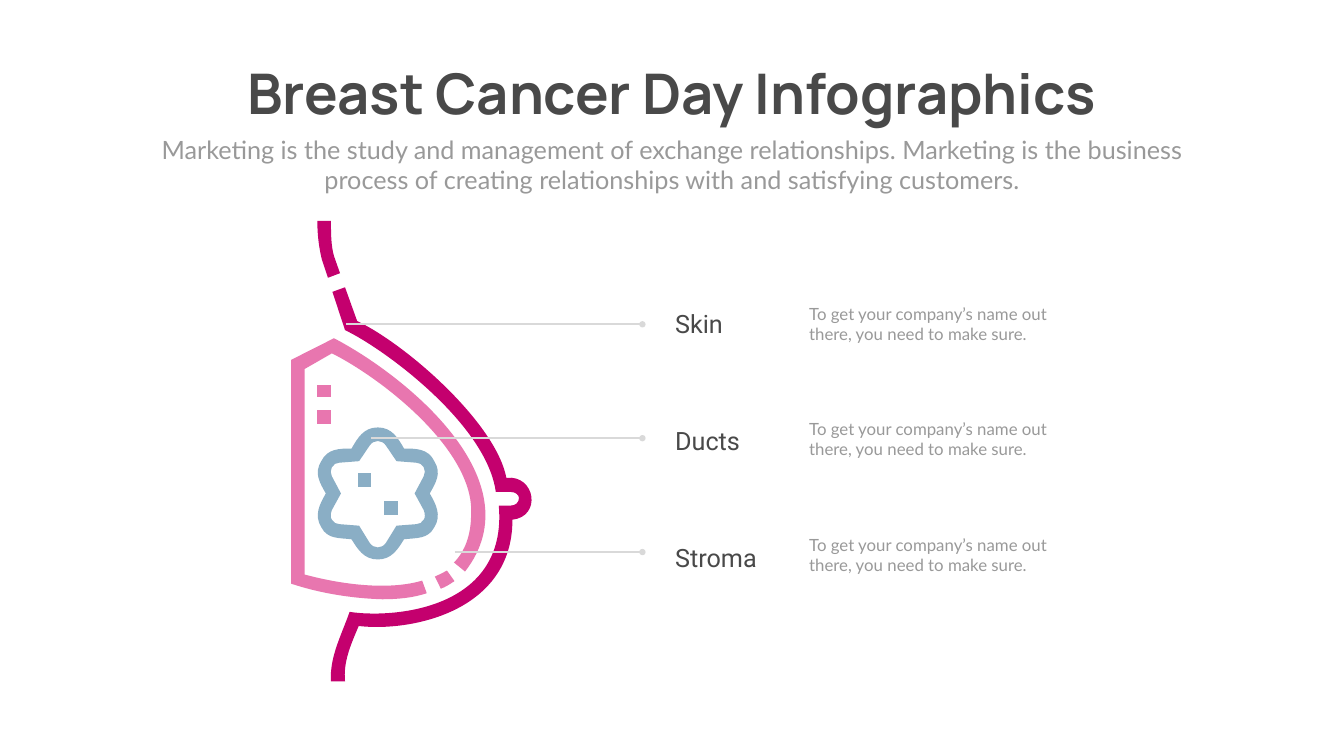
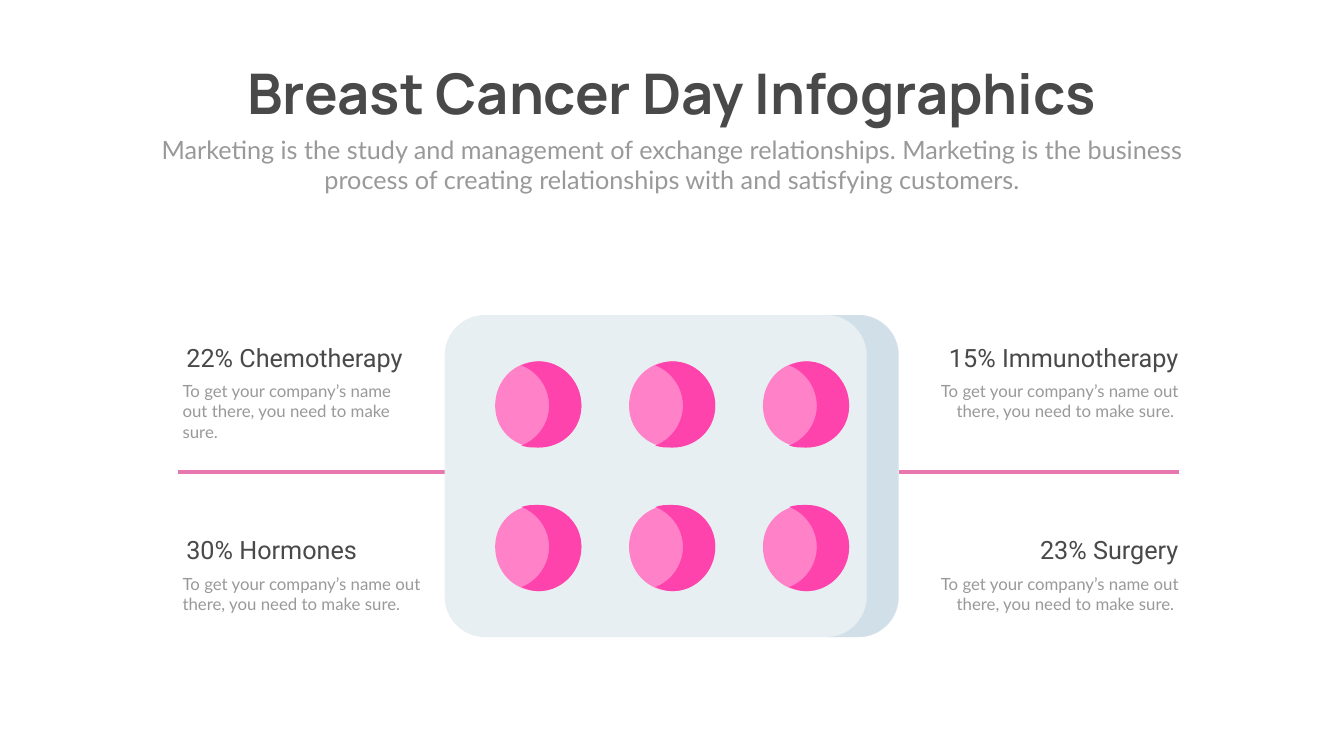
from itertools import chain

from lxml.etree import SubElement
from pptx import Presentation
from pptx.dml.color import RGBColor
from pptx.enum.shapes import MSO_CONNECTOR
from pptx.enum.text import MSO_AUTO_SIZE, PP_ALIGN
from pptx.oxml.ns import qn
from pptx.util import Pt

INK = RGBColor(0x49, 0x49, 0x49)
GREY = RGBColor(0x99, 0x99, 0x99)
RULE = RGBColor(0xD9, 0xD9, 0xD9)
MAGENTA = RGBColor(0xC4, 0x00, 0x6E)
ROSE = RGBColor(0xE8, 0x76, 0xAF)
STEEL = RGBColor(0x8A, 0xAE, 0xC5)
CARD = RGBColor(0xE8, 0xEF, 0xF3)
CARD_SIDE = RGBColor(0xD0, 0xDF, 0xE8)
PILL_LIGHT = RGBColor(0xFF, 0x81, 0xC8)
PILL_DARK = RGBColor(0xFF, 0x43, 0xAC)

TITLE = "Breast Cancer Day Infographics"
SUBTITLE = (
    "Marketing is the study and management of exchange relationships. "
    "Marketing is the business process of creating relationships with "
    "and satisfying customers."
)
DETAIL = "To get your company’s name out there, you need to make sure."

SKIN = [
    (56.9, 658.1), (77, 658.1),
    (74.2, 629.3, 85.7, 604.8, 96.5, 578.9),
    (170.6, 587.5, 316.1, 558.7, 316.1, 427),
    (357.8, 422.6, 349.2, 362.9, 307.4, 367.2),
    (292.3, 288.7, 164.2, 176.4, 94.3, 143.3),
    (77, 95), (59, 101.5), (77, 156.2),
    (133.2, 182.9, 279.4, 290.9, 292.3, 387.4),
    (313.9, 387.4),
    (320.4, 387.4, 325.4, 391.7, 325.4, 396),
    (325.4, 402.5, 320.4, 406.8, 313.9, 406.8),
    (296.6, 406.8),
    (309.6, 556.6, 144, 568.1, 83.5, 558.7),
    (72, 591.8, 54.7, 622.8, 56.9, 658.1),
]
UPPER_SKIN = [
    (52.6, 81.4), (69.8, 74.9), (61.2, 50.4),
    (56.9, 35.3, 56.9, 18, 56.9, 0),
    (37.4, 0),
    (37.4, 20.2, 39.6, 37.4, 43.9, 55.4),
]
STROMA = [
    (130.3, 540.7),
    (152.6, 540.7, 174.2, 538.6, 193.7, 532.1),
    (187.2, 514.1),
    (126, 532.1, 43.2, 511.9, 19.4, 505.4),
    (19.4, 211.7), (58.3, 189.4),
    (132.5, 226.8, 262.8, 329.8, 257, 419.8),
    (257, 448.6, 248.4, 472.3, 232.6, 488.2),
    (248.4, 501.1),
    (350.6, 369.4, 158.4, 218.2, 61.2, 167.8),
    (0, 198.7), (0, 518.4),
    (13, 522.7, 61.2, 538.6, 130.3, 540.7),
]
STROMA_DASH = [
    (213.8, 525.6),
    (220.3, 523.4, 226.8, 519.1, 233.3, 514.8),
    (222.5, 499.7),
    (216, 503.3, 211.7, 505.4, 205.2, 508.3),
]
DUCT_AXIS = 123.8
DUCT_OUTER_HALF = [
    (123.8, 483.8),
    (144, 483.8, 152.6, 468.7, 161.3, 455),
    (178.6, 452.9, 195.8, 455, 204.5, 437.8),
    (215.3, 420.5, 206.6, 404.6, 198, 389.5),
    (206.6, 374.4, 215.3, 360.7, 204.5, 343.4),
    (195.8, 325.4, 178.6, 325.4, 161.3, 325.4),
    (152.6, 310.3, 144, 295.2, 123.8, 295.2),
]
DUCT_INNER_HALF = [
    (123.8, 314.6),
    (128.2, 314.6, 132.5, 316.8, 135.4, 321.1),
    (150.5, 343.4), (178.6, 345.6),
    (182.9, 345.6, 187.2, 347.8, 189.4, 352.1),
    (191.5, 356.4, 191.5, 360.7, 189.4, 365),
    (176.4, 389.5), (189.4, 413.3),
    (191.5, 418.3, 191.5, 424.8, 189.4, 427),
    (187.2, 431.3, 182.9, 433.4, 178.6, 433.4),
    (150.5, 435.6), (135.4, 460.1),
    (132.5, 464.4, 128.2, 466.6, 123.8, 466.6),
]
CELLS = [
    (95.8, 360.7, 18, 19.4, STEEL),
    (133.2, 400.3, 19.4, 19.4, STEEL),
    (37.4, 234, 19.4, 17.3, ROSE),
    (37.4, 270.7, 19.4, 19.4, ROSE),
]
PACK_CARD = [
    (591.1, 460.1), (57.6, 460.1),
    (25.9, 460.1, 0, 434.2, 0, 403.2),
    (0, 56.9),
    (0, 25.9, 25.9, 0, 57.6, 0),
    (591.1, 0),
    (622.8, 0, 648.5, 25.9, 648.5, 56.9),
    (648.5, 403.2),
    (648.5, 434.2, 622.8, 460.1, 591.1, 460.1),
]
PACK_SIDE = [
    (591.1, 0), (545.8, 0),
    (576.7, 0, 602.6, 25.9, 602.6, 56.9),
    (602.6, 403.2),
    (602.6, 434.2, 576.7, 460.1, 545.8, 460.1),
    (591.1, 460.1),
    (622.1, 460.1, 648, 434.2, 648, 403.2),
    (648, 56.9),
    (648, 25.9, 622.1, 0, 591.1, 0),
]
PILL_SIZE = 123.1
PILL = [
    (61.9, 0),
    (95.8, 0, 123.1, 28.8, 123.1, 63.4),
    (123.1, 97.2, 95.8, 123.1, 61.9, 123.1),
    (25.9, 123.1, 0, 97.2, 0, 63.4),
    (0, 28.8, 25.9, 0, 61.9, 0),
]
PILL_SHADE = [
    (61.9, 0),
    (53.3, 0, 44.6, 2.9, 37.4, 5.8),
    (60.5, 14.4, 77, 37.4, 77, 63.4),
    (77, 88.6, 60.5, 111.6, 37.4, 120.2),
    (45.4, 123.1, 51.8, 123.1, 61.9, 123.1),
    (95.8, 123.1, 123.1, 97.2, 123.1, 63.4),
    (123.1, 28.8, 95.8, 0, 61.9, 0),
]


def pairs(segment):
    return list(zip(segment[::2], segment[1::2]))


def mirrored(half, axis):
    other_half = []
    for previous, segment in reversed(list(zip(half, half[1:]))):
        points = pairs(segment[:-2])[::-1] + [previous[-2:]]
        other_half.append(tuple(chain.from_iterable((2 * axis - x, y) for x, y in points)))
    return half + other_half


def flipped(outline, height):
    return [tuple(chain.from_iterable((x, height - y) for x, y in pairs(segment)))
            for segment in outline]


def bend_curves(drawn, segments):
    corners = iter(list(drawn.iter(qn("a:moveTo"), qn("a:lnTo"))))
    for segment in segments:
        first = next(corners)
        if len(segment) == 6:
            first.tag_name = None
            curve = SubElement(first.getparent(), qn("a:cubicBezTo"))
            first.addprevious(curve)
            for corner in (first, next(corners), next(corners)):
                curve.append(corner[0])
                corner.getparent().remove(corner)


def add_outline(slide, left, top, color, *contours):
    placed = [[(Pt(left + x), Pt(top + y)) for segment in contour for x, y in pairs(segment)]
              for contour in contours]
    builder = slide.shapes.build_freeform(*placed[0][0], scale=1.0)
    builder.add_line_segments(placed[0][1:], close=True)
    for hole in placed[1:]:
        builder.move_to(*hole[0])
        builder.add_line_segments(hole[1:], close=True)
    shape = builder.convert_to_shape()
    bend_curves(shape._element, chain.from_iterable(contours))
    shape.shadow.inherit = False
    shape.fill.solid()
    shape.fill.fore_color.rgb = color
    shape.line.fill.background()


def add_line(slide, start, end, y, color, weight, dot=False):
    line = slide.shapes.add_connector(
        MSO_CONNECTOR.STRAIGHT, Pt(start), Pt(y), Pt(end), Pt(y))
    line.line.color.rgb = color
    line.line.width = Pt(weight)
    if dot:
        SubElement(line.get_or_add_ln(), qn("a:tailEnd"), type="oval")
    SubElement(line._element.spPr, qn("a:effectLst"))


def add_text(slide, left, top, width, height, text, font, size, color,
             align=PP_ALIGN.LEFT, bold=False, wrap=True):
    box = slide.shapes.add_textbox(Pt(left), Pt(top), Pt(width), Pt(height))
    frame = box.text_frame
    frame.word_wrap = wrap
    frame.auto_size = MSO_AUTO_SIZE.SHAPE_TO_FIT_TEXT
    paragraph = frame.paragraphs[0]
    paragraph.alignment = align
    run = paragraph.add_run()
    run.text = text
    run.font.name = font
    run.font.size = Pt(size)
    run.font.bold = bold
    run.font.color.rgb = color


def add_label(slide, left, top, width, text, align=PP_ALIGN.LEFT):
    add_text(slide, left, top, width, 51.1, text, "Roboto", 36, INK, align)


def add_detail(slide, left, top, width, height=65.5, text=DETAIL, align=PP_ALIGN.LEFT):
    add_text(slide, left, top, width, height, text, "Lato", 24, GREY, align)


def add_header(slide, left, top, width):
    add_text(slide, left + 81.8, top, width - 163.4, 104.4, TITLE, "Manrope", 80, INK,
             PP_ALIGN.CENTER, bold=True, wrap=False)
    add_text(slide, left, top + 107.3, width, 94.3, SUBTITLE, "Lato", 36, GREY,
             PP_ALIGN.CENTER)


def add_anatomy(slide, left, top):
    add_outline(slide, left, top, MAGENTA, SKIN)
    add_outline(slide, left, top, MAGENTA, UPPER_SKIN)
    add_outline(slide, left, top, STEEL, mirrored(DUCT_OUTER_HALF, DUCT_AXIS),
                mirrored(DUCT_INNER_HALF, DUCT_AXIS))
    add_outline(slide, left, top, ROSE, STROMA)
    add_outline(slide, left, top, ROSE, STROMA_DASH)
    for x, y, width, height, color in CELLS:
        add_outline(slide, left + x, top + y, color,
                    [(width, 0), (0, 0), (0, height), (width, height)])


def add_callouts(slide, left, top):
    for row, (tissue, reach) in enumerate(
            [("Skin", 422.7), ("Ducts", 387.4), ("Stroma", 267.9)]):
        add_line(slide, left - reach, left, top + 33.5 + 162.7 * row, RULE, 3, dot=True)
        add_label(slide, left + 39.6, top + 6.5 + 167.4 * row, 234.7, tissue)
        add_detail(slide, left + 231.1, top + 164.9 * row, 355.7)


def add_pill_pack(slide, left, top):
    add_outline(slide, left, top, CARD, PACK_CARD)
    add_outline(slide, left, top, CARD_SIDE, PACK_SIDE)
    for row in range(2):
        for column in range(3):
            for outline, color in ((PILL, PILL_LIGHT), (PILL_SHADE, PILL_DARK)):
                if row == 1:
                    outline = flipped(outline, PILL_SIZE)
                add_outline(slide, left + 72 + 191.2 * column, top + 66.2 + 205.2 * row,
                            color, outline)


def add_left_treatment(slide, left, top, label, label_width, width, height):
    add_detail(slide, left, top + 55.4, width, height)
    add_label(slide, left + 5.4, top, label_width, label)


def add_right_treatment(slide, right, top, label, label_width, width):
    add_detail(slide, right - width, top + 55.4, width,
               text=DETAIL + " ", align=PP_ALIGN.RIGHT)
    add_label(slide, right - label_width, top, label_width, label, PP_ALIGN.RIGHT)


def build_anatomy_slide(slide):
    add_header(slide, 210.2, 80.6, 1499)
    add_anatomy(slide, 415.8, 315.4)
    add_callouts(slide, 917.5, 429.8)


def build_treatment_slide(slide):
    add_line(slide, 253.7, 1684.1, 674.8, ROSE, 6)
    add_header(slide, 210.2, 80.6, 1499)
    add_pill_pack(slide, 635.2, 450)
    upper, lower = 485.3, 760.3
    add_left_treatment(slide, 253.7, upper, "22% Chemotherapy", 342, 342, 94.3)
    add_left_treatment(slide, 253.7, lower, "30% Hormones", 283.7, 360.7, 65.5)
    add_right_treatment(slide, 1690.2, upper, "15% Immunotherapy", 368.6, 355.7)
    add_right_treatment(slide, 1690.2, lower, "23% Surgery", 406.1, 366.5)


def main():
    deck = Presentation()
    deck.slide_width, deck.slide_height = Pt(1919.5), Pt(1080)
    for build in (build_anatomy_slide, build_treatment_slide):
        build(deck.slides.add_slide(deck.slide_layouts[6]))
    deck.save("out.pptx")


if __name__ == "__main__":
    main()
